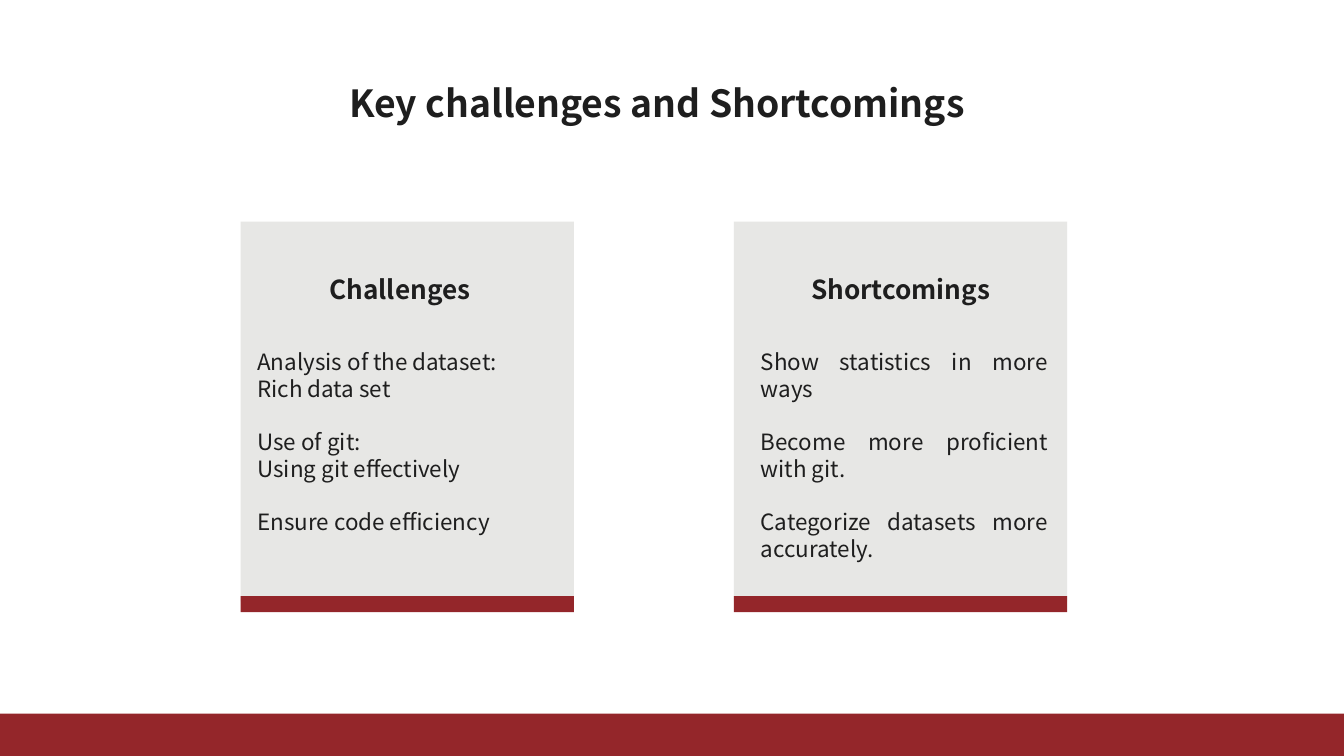
from dataclasses import dataclass
from lxml.etree import SubElement as Sub
from pptx import Presentation as Deck
from pptx.dml.color import RGBColor as Rgb
from pptx.enum.shapes import MSO_SHAPE as Kind
from pptx.enum.text import MSO_ANCHOR as Anchor, PP_ALIGN as Align
from pptx.oxml.ns import qn
from pptx.util import Inches, Pt


@dataclass(frozen=True)
class Theme:
    font: str = "Noto Sans CJK SC"
    ink: str = "1E1E1E"
    red: str = "94262A"
    gray: str = "E4E4E2"
    alpha: int = 88
    title: tuple = (40, 52.8)
    head: tuple = (28, 43.7)
    body: tuple = (24, 28.6)


look = Theme()
title = "Key challenges and Shortcomings"
cards = [
    {
        "head": "Challenges",
        "body": [
            ["Analysis of the dataset:", "Rich data set"],
            ["Use of git:", "Using git effectively"],
            ["Ensure code efficiency"],
        ],
        "inset": 1.25, "wide": 20.75, "shift": 3.95,
    },
    {
        "head": "Shortcomings",
        "body": [
            ["Show statistics in more ways"],
            ["Become more proficient with git."],
            ["Categorize datasets more accurately."],
        ],
        "inset": 2, "wide": 21.35, "shift": 4.5,
    },
]

left, step, width = 17.9, 36.7, 24.8

deck = Deck()
deck.slide_width, deck.slide_height = Inches(20), Inches(11.25)
slide = deck.slides.add_slide(deck.slide_layouts[6])


def place(x, y, w, h):
    wide, high = deck.slide_width, deck.slide_height
    return [round(part * full / 100) for part, full in
            ((x, wide), (y, high), (w, wide), (h, high))]


def block(area, color, alpha=None):
    shape = slide.shapes.add_shape(Kind.RECTANGLE, *place(*area))
    shape.shadow.inherit = False
    shape.line.fill.background()
    shape.fill.solid()
    shape.fill.fore_color.rgb = Rgb.from_string(color)
    if alpha:
        tint = next(shape.element.iter(qn("a:srgbClr")))
        Sub(tint, qn("a:alpha"), val=str(alpha * 1000))


def write(area, groups, style, align, bold=False):
    size, pitch = style
    frame = slide.shapes.add_textbox(*place(*area)).text_frame
    frame.word_wrap = True
    frame.vertical_anchor = Anchor.TOP
    frame.margin_left = frame.margin_right = 0
    frame.margin_top = frame.margin_bottom = 0
    frame.text = "\n".join(line for group in groups for line in group)
    paras = iter(frame.paragraphs)
    for row, group in enumerate(groups):
        for col, para in zip(range(len(group)), paras):
            para.alignment = align
            para.line_spacing = Pt(pitch)
            para.space_before = Pt(pitch if row and not col else 0)
            font = para.runs[0].font
            font.name, font.size, font.bold = look.font, Pt(size), bold
            font.color.rgb = Rgb.from_string(look.ink)


block((0, 94.4, 100, 5.6), look.red)
for col, card in enumerate(cards):
    x = left + col * step
    block((x, 29.33, width, 50.22), look.gray, look.alpha)
    block((x, 78.84, width, 2.13), look.red)
    write((x + card["inset"], 46.1, card["wide"], 28.44),
          card["body"], look.body, Align.JUSTIFY)
    write((x + card["shift"], 34.93, 15.8, 5.42),
          [[card["head"]]], look.head, Align.CENTER, True)
write((26, 9.96, 48, 6.58), [[title]], look.title, Align.LEFT, True)

deck.save("out.pptx")
